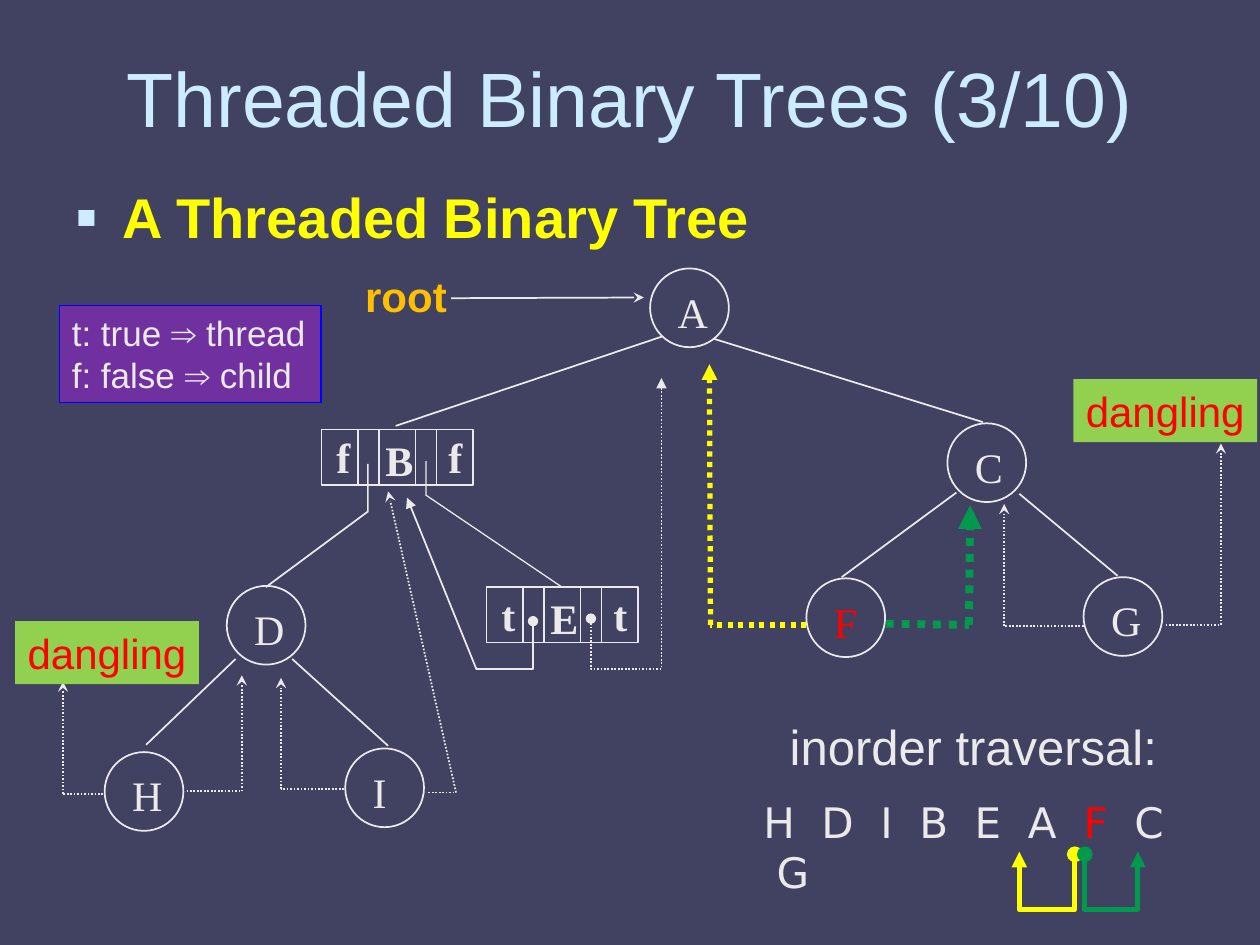
import lxml.etree
import pptx
import pptx.dml.color
import pptx.enum.dml
import pptx.enum.shapes
import pptx.enum.text
import pptx.oxml.ns
import pptx.util

Pt = pptx.util.Pt
SHAPES = pptx.enum.shapes.MSO_SHAPE
ALIGN = pptx.enum.text.PP_ALIGN
ANCHOR = pptx.enum.text.MSO_ANCHOR
LIGHT, YELLOW, GREEN, RED, PALE_BLUE = "EAEAEA", "FFFF00", "00994D", "FF0000", "CCECFF"
SERIF = "Times New Roman"


def color(value):
    return pptx.dml.color.RGBColor.from_string(value)


def add_element(parent, tag, **attributes):
    return lxml.etree.SubElement(parent, pptx.oxml.ns.qn(tag), attributes)


def style_line(shape, line_color, width, dotted=False, head=None, tail=None):
    """Style an outline; head is the mark at its start, tail the one at its end."""
    shape.line.color.rgb = color(line_color)
    shape.line.width = Pt(width)
    if dotted:
        shape.line.dash_style = pptx.enum.dml.MSO_LINE.ROUND_DOT
    outline = shape.line._get_or_add_ln()
    for tag, mark in (("a:headEnd", head), ("a:tailEnd", tail)):
        if mark:
            add_element(outline, tag, type=mark)


def add_box(slide, kind, left, top, width, height, fill=None, line=None, line_width=1):
    shape = slide.shapes.add_shape(kind, Pt(left), Pt(top), Pt(width), Pt(height))
    shape.shadow.inherit = False
    if fill:
        shape.fill.solid()
        shape.fill.fore_color.rgb = color(fill)
    else:
        shape.fill.background()
    if line:
        style_line(shape, line, line_width)
    else:
        shape.line.fill.background()
    return shape


def add_text(slide, text, left, top, width, height, *, size=24, font="Arial",
             font_color=LIGHT, bold=False, align=ALIGN.LEFT, anchor=ANCHOR.TOP,
             shape=None, spacing=0, hanging=0, accents=None):
    """Fill shape, or a new text box, with text; accents maps a letter to its colour."""
    if shape is None:
        shape = slide.shapes.add_textbox(Pt(left), Pt(top), Pt(width), Pt(height))
    frame = shape.text_frame
    frame.word_wrap = True
    frame.vertical_anchor = anchor
    frame.margin_right = Pt(7.2 if align == ALIGN.CENTER else 0)
    for index, line in enumerate(text.split("\n")):
        paragraph = frame.add_paragraph() if index else frame.paragraphs[0]
        paragraph.alignment = align
        if hanging:
            properties = paragraph._p.get_or_add_pPr()
            properties.set("marL", str(Pt(hanging)))
            properties.set("indent", str(-Pt(hanging)))
        pieces = [line]
        for accent in accents or {}:
            before, after = line.split(accent)
            pieces = [before, accent, after]
        for piece in pieces:
            run = paragraph.add_run()
            run.text = piece
            run.font.size = Pt(size)
            run.font.name = font
            run.font.bold = bold
            run.font.color.rgb = color((accents or {}).get(piece, font_color))
            if spacing:
                run._r.get_or_add_rPr().set("spc", str(round(spacing * 100)))
    return shape


def add_segments(slide, left, top, points, line_color=LIGHT, width=1, dotted=False, tail=None):
    """Join points with straight connectors; the last one carries the arrowhead."""
    for index in range(len(points) - 1):
        (x1, y1), (x2, y2) = points[index:index + 2]
        connector = slide.shapes.add_connector(
            pptx.enum.shapes.MSO_CONNECTOR.STRAIGHT,
            Pt(left + x1), Pt(top + y1), Pt(left + x2), Pt(top + y2))
        is_last = index == len(points) - 2
        style_line(connector, line_color, width, dotted, tail=tail if is_last else None)
        add_element(connector._element.spPr, "a:effectLst")


def add_polyline(slide, left, top, points, line_color=LIGHT, width=1, **ends):
    vertices = [(Pt(left + x), Pt(top + y)) for x, y in points]
    builder = slide.shapes.build_freeform(*vertices[0])
    builder.add_line_segments(vertices[1:], close=False)
    shape = builder.convert_to_shape()
    shape.shadow.inherit = False
    shape.fill.background()
    style_line(shape, line_color, width, **ends)


def draw_heading(slide, left, top, width):
    add_text(slide, "Threaded Binary Trees (3/10)", left, top, width, 90, size=44,
             font_color=PALE_BLUE, align=ALIGN.CENTER, anchor=ANCHOR.MIDDLE)
    body = add_text(slide, "A Threaded Binary Tree", left, top + 90.5, width, 45, size=32,
                    font_color=YELLOW, bold=True, hanging=27)
    properties = body.text_frame.paragraphs[0]._p.get_or_add_pPr()
    add_element(add_element(properties, "a:buClr"), "a:srgbClr", val=PALE_BLUE)
    add_element(properties, "a:buSzPct", val="115000")
    add_element(properties, "a:buFont", typeface="Arial")
    add_element(properties, "a:buChar", char="▪")


def draw_node(slide, letter, left, top, font_color=LIGHT):
    add_box(slide, SHAPES.OVAL, left, top, 45, 45, line=LIGHT)
    add_text(slide, letter, left + 8.6, top + 6.6, 34, 36, font=SERIF, font_color=font_color)


def draw_record(slide, letter, tag, left, top):
    """Draw a node with all five fields: tag, link, data, link, tag."""
    x = left
    for width in (20.9, 12, 20.9, 12, 20.9):
        add_box(slide, SHAPES.RECTANGLE, x, top, width, 31.7, line=LIGHT, line_width=0.75)
        x += width
    for text, offset, rise in ((tag, 1.5, 2.2), (letter, 29.5, 0.7), (tag, 65.5, 2.2)):
        add_text(slide, text, left + offset, top - rise, 34, 36, font=SERIF, bold=True)


def draw_tree(slide, left, top):
    nodes = {"A": (371.5, 3.4), "C": (541.4, 91.9), "G": (619.2, 179.8), "I": (197.3, 277.7),
             "D": (129.6, 184.8), "H": (59.8, 279.8), "F": (460.8, 180.5)}
    for letter, (x, y) in nodes.items():
        draw_node(slide, letter, left + x, top + y, RED if letter == "F" else LIGHT)
    draw_record(slide, "B", "f", left + 183.6, top + 95.5)
    draw_record(slide, "E", "t", left + 277.9, top + 185.5)

    edges = [
        [(378.7, 42.2), (226.1, 93.4)],
        [(408.2, 43.7), (561.6, 91.2)],
        [(546.5, 131.5), (481, 179.8)],
        [(582.5, 132.2), (638.6, 179)],
        [(134.6, 226.6), (83.5, 275.6)],
        [(167, 226.6), (221.8, 276.2)],
    ]
    for edge in edges:
        add_segments(slide, left, top, edge)
    add_polyline(slide, left, top, [(210.2, 115), (210.2, 142.3), (151.9, 185.5)])
    add_polyline(slide, left, top, [(243.4, 113.5), (243.4, 133), (321.1, 185.5)], width=0.75)

    threads = [
        [(244.8, 302.9), (260.6, 302.9), (221.8, 130.8)],
        [(196.6, 301), (160.6, 301), (160.6, 237.4)],
        [(106.6, 302.2), (138.2, 302.2), (138.2, 235.9)],
        [(619.2, 207.8), (573.8, 207.8), (573.8, 138)],
        [(59, 303.6), (36, 303.6), (36, 239.5)],
        [(666, 207.1), (697.7, 207.1), (697.7, 103.4)],
    ]
    for thread in threads:
        add_segments(slide, left, top, thread, dotted=True, tail="stealth")
    add_segments(slide, left, top, [(460.8, 207.1), (406, 207.1), (405.4, 58.1)],
                 YELLOW, 3, dotted=True, tail="triangle")
    add_segments(slide, left, top, [(506.2, 206.4), (553.7, 207.1), (554.4, 138.7)],
                 GREEN, 4.5, dotted=True, tail="triangle")
    add_polyline(slide, left, top, [(337.7, 203.5), (337.7, 232.3), (378, 232.3), (378, 66)],
                 dotted=True, head="oval", tail="triangle")
    add_polyline(slide, left, top, [(304.6, 205), (304.6, 232.3), (272.2, 232.3), (232.6, 134.4)],
                 head="oval", tail="triangle")

    add_text(slide, "root", left + 201.6, top + 1.2, 61, 36, font_color="FFC000", bold=True)
    add_segments(slide, left, top, [(257.8, 20.4), (367.9, 20)], tail="stealth")
    for x, y in ((8.7, 205), (613.4, 66.7)):
        draw_panel(slide, "dangling", left + x, top + y, 105, 36, fill="92D050", font_color=RED)


def draw_panel(slide, text, left, top, width, height, fill, line=None, **text_format):
    panel = add_box(slide, SHAPES.RECTANGLE, left, top, width, height, fill, line, 0.75)
    add_text(slide, text, left, top, width, height, shape=panel, **text_format)


def draw_traversal(slide, left, top):
    add_text(slide, "inorder traversal:", left + 15.1, top, 224, 41, size=28)
    add_text(slide, "H D I B E A F C G", left, top + 45.3, 247, 65, font="DejaVu Sans",
             spacing=3.8, hanging=7.6, accents={"F": RED})
    for start, end, line_color in ((185.1, 153.4, YELLOW), (190.8, 221.1, GREEN)):
        add_polyline(slide, left, top, [(start, 82.1), (start, 113.7), (end, 113.7), (end, 80.6)],
                     line_color, 3, head="oval", tail="triangle")


def main():
    presentation = pptx.Presentation()
    presentation.slide_width, presentation.slide_height = Pt(720), Pt(540)
    slide = presentation.slides.add_slide(presentation.slide_layouts[6])
    slide.background.fill.solid()
    slide.background.fill.fore_color.rgb = color("414161")
    draw_heading(slide, 36, 10.1, 648)
    draw_tree(slide, 0, 150)
    draw_traversal(slide, 429.1, 406.1)
    draw_panel(slide, "t: true ⇒ thread\nf: false ⇒ child", 34, 174.5, 149.5, 55.4,
               fill="7030A0", line="0000FF", size=20)
    presentation.save("out.pptx")


if __name__ == "__main__":
    main()
